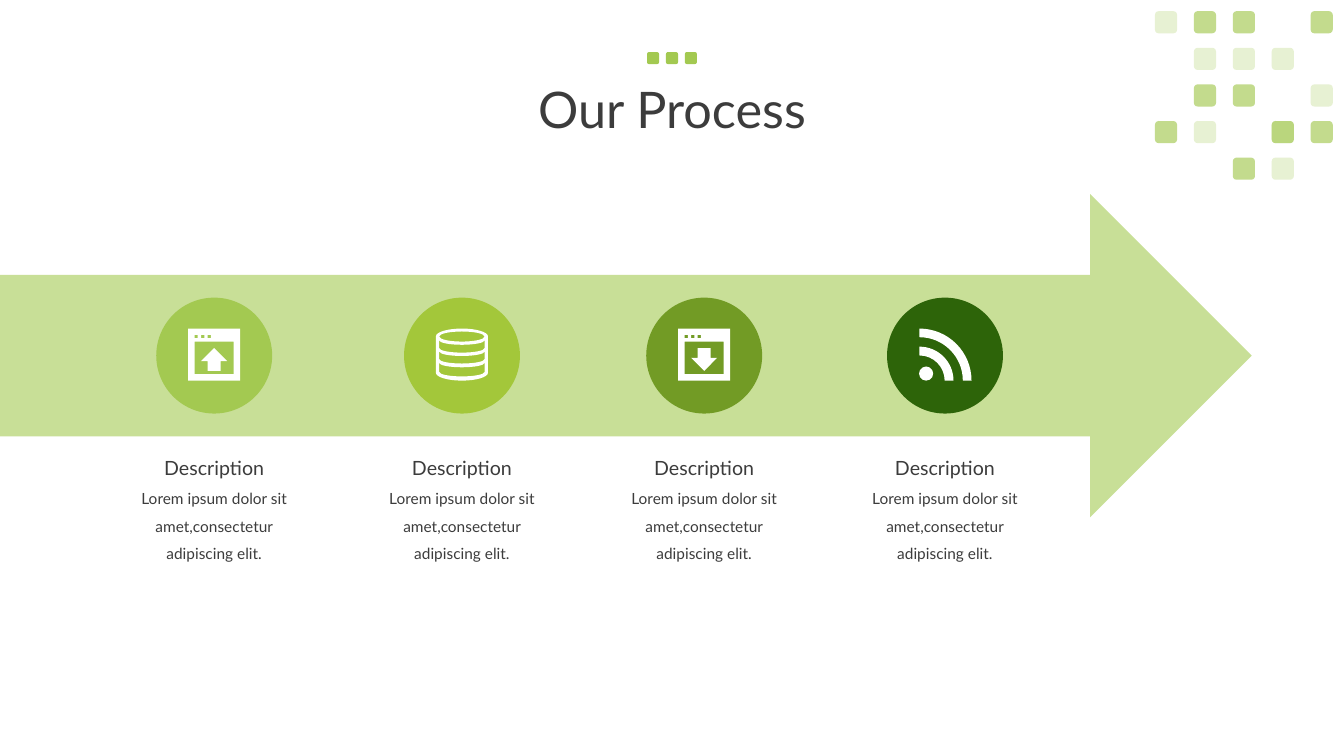
"""Build the "Our Process" slide: four icon steps on a wide arrow."""
import math

import lxml.etree
import pptx
import pptx.dml.color
import pptx.enum.shapes
import pptx.enum.text
import pptx.oxml
import pptx.oxml.ns
import pptx.util

Pt = pptx.util.Pt
qn = pptx.oxml.ns.qn
SHAPE = pptx.enum.shapes.MSO_SHAPE
ALIGN = pptx.enum.text.PP_ALIGN
ANCHOR = pptx.enum.text.MSO_ANCHOR
FIT = pptx.enum.text.MSO_AUTO_SIZE

COLORS = {
    "text": "3C3C3C", "accent": "A3C951", "arrow": "C8DF97", "white": "FFFFFF",
    "lime": "A3C73A", "olive": "729B25", "forest": "2D6409",
}
ALPHA = {"L": 25, "D": 65}
DOT_ROWS = [["L", "D", "D", "", "D"], ["", "L", "L", "L", ""], ["", "D", "D", "", "L"],
            ["D", "L", "", "DL", "D"], ["", "", "D", "L", ""]]
CIRCLE_Y = 254
ICON_Y = 253.3
CIRCLE = 82.8
LOREM = "Lorem ipsum dolor sit amet,consectetur adipiscing elit."
UP_ARROW = [(-4.7, 11.6), (4.7, 11.6), (4.7, 4.6), (9.3, 4.6), (0, -4.7), (-9.3, 4.6), (-4.7, 4.6)]
DOWN_ARROW = [(x, 6.9 - y) for x, y in UP_ARROW]


def rgb(name):
    return pptx.dml.color.RGBColor.from_string(COLORS[name])


def set_attrs(obj, values):
    for name, value in values.items():
        setattr(obj, name, value)


def paint(sp, color, alpha=None):
    sp.shadow.inherit = False
    sp.fill.solid()
    sp.fill.fore_color.rgb = rgb(color)
    sp.line.fill.background()
    if alpha is not None:
        clr = sp.fill._xPr.find(".//" + qn("a:srgbClr"))
        lxml.etree.SubElement(clr, qn("a:alpha"), val=str(alpha * 1000))


def add_preset(shapes, kind, x, y, w, h, color, alpha=None):
    sp = shapes.add_shape(kind, Pt(x), Pt(y), Pt(w), Pt(h))
    paint(sp, color, alpha)


def bend(sp):
    """Turn every three line segments of a freeform into one cubic curve."""
    lines = list(sp._element.iter(qn("a:lnTo")))
    for i in range(0, len(lines), 3):
        curve = lxml.etree.Element(qn("a:cubicBezTo"))
        lines[i].addprevious(curve)
        for line in lines[i:i + 3]:
            curve.append(line[0])
            line.getparent().remove(line)


def add_outline(shapes, contours, cx, cy, curved=False):
    """Draw closed contours, given in points around (cx, cy), as one white shape."""
    placed = [[(Pt(cx + x), Pt(cy + y)) for x, y in contour] for contour in contours]
    builder = shapes.build_freeform(*placed[0][0])
    builder.add_line_segments(placed[0][1:], close=True)
    for contour in placed[1:]:
        builder.move_to(*contour[0])
        builder.add_line_segments(contour[1:], close=True)
    sp = builder.convert_to_shape()
    paint(sp, "white")
    if curved:
        bend(sp)


def box(x, y, w, h):
    return [(x, y), (x + w, y), (x + w, y + h), (x, y + h)]


def arc(cx, cy, rx, ry, start, quarters):
    """Return a start point, then three curve points for each quarter turn."""
    turn = int(math.copysign(1, quarters))
    points = []
    for i in range(abs(quarters)):
        a = math.radians(start + 90 * i * turn)
        b = a + turn * math.pi / 2
        k = 0.5523 * turn
        unit = [(math.cos(a), math.sin(a)),
                (math.cos(a) - k * math.sin(a), math.sin(a) + k * math.cos(a)),
                (math.cos(b) + k * math.sin(b), math.sin(b) - k * math.cos(b)),
                (math.cos(b), math.sin(b))]
        points += [(cx + rx * u, cy + ry * v) for u, v in unit[1 if i else 0:]]
    return points


def join(first, second):
    return first + [second[0]] * 3 + second[1:]


def window_icon(s, cx, cy, arrow):
    shapes = s.shapes.add_group_shape().shapes
    dots = [box(-14 + 4.65 * i, -14, 2.3, 2.3) for i in range(3)]
    frame = [box(-18.6, -18.6, 37.2, 37.2), *dots, box(-14, -9.3, 28, 23.2)]
    add_outline(shapes, frame, cx, cy)
    add_outline(shapes, [arrow], cx, cy)


def upload_icon(s, cx, cy):
    window_icon(s, cx, cy, UP_ARROW)


def download_icon(s, cx, cy):
    window_icon(s, cx, cy, DOWN_ARROW)


def database_icon(s, cx, cy):
    body = join(arc(0, -13, 18.6, 5.6, 180, 2), arc(0, 13, 18.6, 5.6, 0, 2))
    lid = arc(0, -12.9, 16.2, 3.6, 0, 4)
    bands = [join(arc(0, top, 16.2, 3.2, 180, -2), arc(0, bottom, 16.2, 3.2, 0, 2))
             for top, bottom in [(-10.2, -4.6), (-2.2, 3.2), (5.9, 12.4)]]
    add_outline(s.shapes, [body, lid, *bands], cx, cy, curved=True)


def feed_icon(s, cx, cy):
    shapes = s.shapes.add_group_shape().shapes
    add_preset(shapes, SHAPE.OVAL, cx - 18.5, cy + 8.5, 10.1, 10.1, "white")
    for inner, outer in [(18, 24.3), (31, 37.2)]:
        ring = join(arc(-18.2, 18.6, outer, outer, -90, 1),
                    arc(-18.2, 18.6, inner, inner, 0, -1))
        add_outline(shapes, [ring], cx, cy, curved=True)


def write(tf, text, size, frame_format, paragraph_format):
    set_attrs(tf, frame_format)
    p = tf.paragraphs[0]
    set_attrs(p, {"alignment": ALIGN.CENTER, **paragraph_format})
    r = p.add_run()
    r.text = text
    set_attrs(r.font, {"size": Pt(size), "name": "Lato"})
    r.font.color.rgb = rgb("text")


def add_text(s, cx, y, w, h, text, size, wrap, spacing):
    sp = s.shapes.add_textbox(Pt(cx - w / 2), Pt(y), Pt(w), Pt(h))
    write(sp.text_frame, text, size,
          {"word_wrap": wrap, "auto_size": FIT.SHAPE_TO_FIT_TEXT}, {"line_spacing": spacing})


def add_title(s, text):
    title = s.shapes.title
    set_attrs(title, {"left": Pt(66), "top": Pt(28), "width": Pt(828), "height": Pt(104.4)})
    write(title.text_frame, text, 36,
          {"vertical_anchor": ANCHOR.MIDDLE, "word_wrap": True, "auto_size": FIT.NONE},
          {"line_spacing": 0.9})


def add_corner_dots(s):
    shapes = s.shapes.add_group_shape().shapes
    for row, marks in enumerate(DOT_ROWS):
        for col, mark in enumerate(marks):
            for tone in mark:
                add_preset(shapes, SHAPE.ROUNDED_RECTANGLE, 825 + 27.8 * col, 8 + 26.15 * row,
                           15.8, 15.8, "accent", ALPHA[tone])


def add_title_dots(s):
    shapes = s.shapes.add_group_shape().shapes
    for i in range(3):
        add_preset(shapes, SHAPE.ROUNDED_RECTANGLE, 462.2 + 13.5 * i, 37.2, 8.6, 8.6, "accent")


def add_step(s, cx, color, icon):
    add_preset(s.shapes, SHAPE.OVAL, cx - CIRCLE / 2, CIRCLE_Y - CIRCLE / 2,
               CIRCLE, CIRCLE, color)
    icon(s, cx, ICON_Y)
    add_text(s, cx, 322.4, 90, 24.2, "Description", 14, False, 1.0)
    add_text(s, cx, 339.2, 142.6, 65, LOREM, 11, True, 1.5)


def main():
    prs = pptx.Presentation()
    set_attrs(prs, {"slide_width": Pt(960), "slide_height": Pt(540)})
    s = prs.slides.add_slide(prs.slide_layouts[5])
    add_title(s, "Our Process")
    add_corner_dots(s)
    add_title_dots(s)
    add_preset(s.shapes, SHAPE.NOTCHED_RIGHT_ARROW, -58.3, 138.7, 952.4, 230.8, "arrow")
    steps = [(153, "accent", upload_icon), (330, "lime", database_icon),
             (503, "olive", download_icon), (675, "forest", feed_icon)]
    for cx, color, icon in steps:
        add_step(s, cx, color, icon)
    prs.save("out.pptx")


if __name__ == "__main__":
    main()
